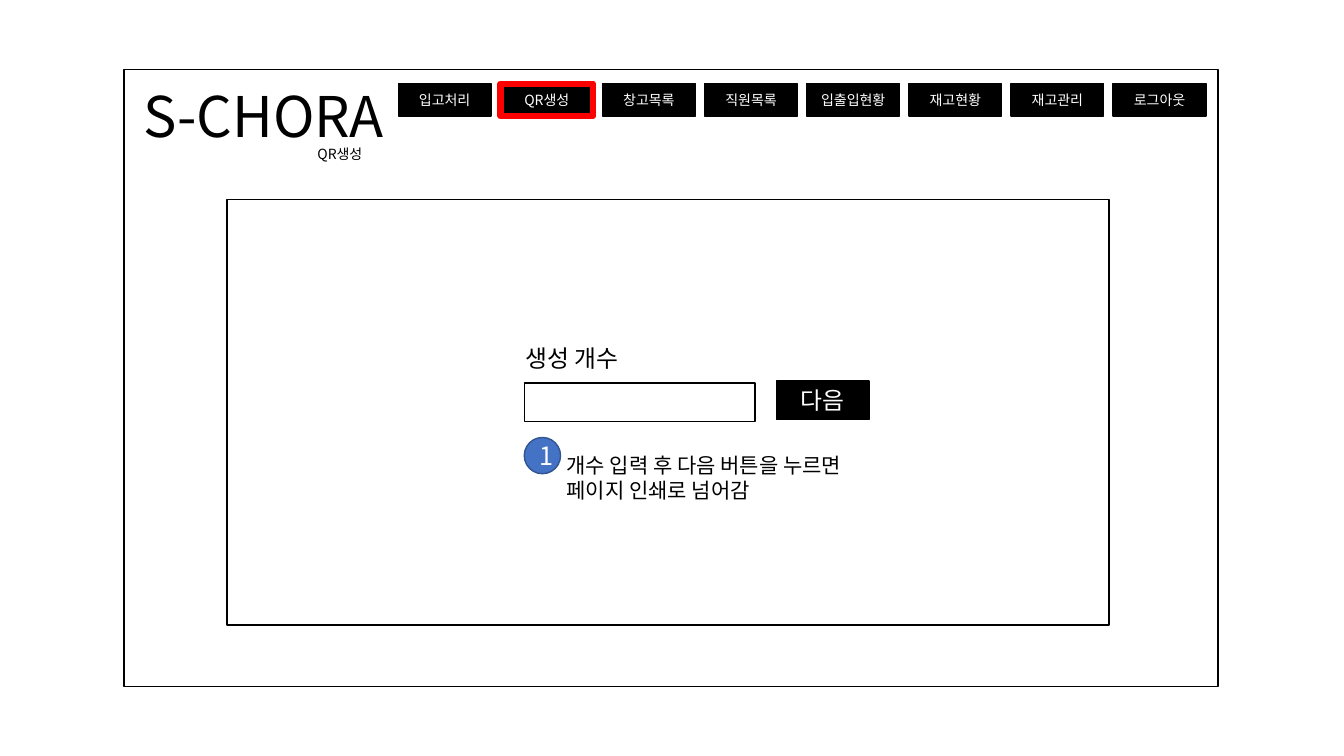
from lxml import etree
from pptx import Presentation
from pptx import util as u
from pptx.dml.color import RGBColor
from pptx.enum import shapes, text
from pptx.oxml.ns import qn

COLORS = {"black": "000000", "white": "FFFFFF", "red": "FF0000",
          "blue": "4472C4", "navy": "325491"}
RECT = shapes.MSO_SHAPE.RECTANGLE
OVAL = shapes.MSO_SHAPE.OVAL


class Page:
    font = "Noto Sans CJK KR"

    def __init__(self, slide):
        self.slide = slide

    def color(self, name):
        return RGBColor.from_string(COLORS[name])

    def style(self, frame, size, color):
        for para in frame.paragraphs:
            for run in para.runs:
                run.font.size = u.Pt(size)
                run.font.name = self.font
                run.font.color.rgb = self.color(color)
                # East Asian typeface for the Korean letters
                east = etree.SubElement(run.font._element, qn("a:ea"))
                east.set("typeface", self.font)

    def box(self, x, y, w, h, fill=None, line="black", width=1,
            label="", size=10, kind=RECT):
        shape = self.slide.shapes.add_shape(
            kind, u.Inches(x), u.Inches(y), u.Inches(w), u.Inches(h))
        shape.shadow.inherit = False
        if fill:
            shape.fill.solid()
            shape.fill.fore_color.rgb = self.color(fill)
        else:
            shape.fill.background()
        shape.line.color.rgb = self.color(line)
        shape.line.width = u.Pt(width)
        if label:
            frame = shape.text_frame
            frame.text = label
            frame.vertical_anchor = text.MSO_ANCHOR.MIDDLE
            frame.paragraphs[0].alignment = text.PP_ALIGN.CENTER
            self.style(frame, size, "white")

    def note(self, x, y, w, h, words, size, wrap=True):
        shape = self.slide.shapes.add_textbox(
            u.Inches(x), u.Inches(y), u.Inches(w), u.Inches(h))
        frame = shape.text_frame
        frame.word_wrap = wrap
        frame.auto_size = text.MSO_AUTO_SIZE.SHAPE_TO_FIT_TEXT
        frame.text = words
        self.style(frame, size, "black")


def main():
    deck = Presentation()
    deck.slide_width, deck.slide_height = u.Inches(13.33), u.Inches(7.5)
    page = Page(deck.slides.add_slide(deck.slide_layouts[6]))

    # Content panel and window frame
    page.box(2.25, 1.98, 8.75, 4.22, "white")
    page.box(1.23, 0.69, 10.85, 6.12)

    # Heading
    page.note(1.32, 0.76, 2.62, 0.77, "S-CHORA", 40)
    page.note(3.05, 1.39, 0.68, 0.27, "QR생성", 10)

    # Menu, with the current entry outlined in red
    menu = ["입고처리", "QR생성", "창고목록", "직원목록",
            "입출입현황", "재고현황", "재고관리", "로그아웃"]
    left, last = 3.95, 11.04
    step = (last - left) / (len(menu) - 1)
    for i, name in enumerate(menu):
        line, width = ("red", 4.5) if name == "QR생성" else ("black", 1)
        page.box(left + i * step, 0.83, 0.92, 0.32, "black", line, width, name)

    # Count form
    page.box(5.2, 3.8, 2.29, 0.38, "white")
    page.note(5.11, 3.36, 1.24, 0.39, "생성 개수", 17, wrap=False)
    page.box(7.7, 3.78, 0.92, 0.38, "black", label="다음", size=17)

    # Numbered hint
    page.box(5.2, 4.34, 0.36, 0.36, "blue", "navy", label="1", size=18, kind=OVAL)
    page.note(5.52, 4.44, 4.45, 0.61,
              "개수 입력 후 다음 버튼을 누르면\n페이지 인쇄로 넘어감", 15)

    deck.save("out.pptx")


if __name__ == "__main__":
    main()
